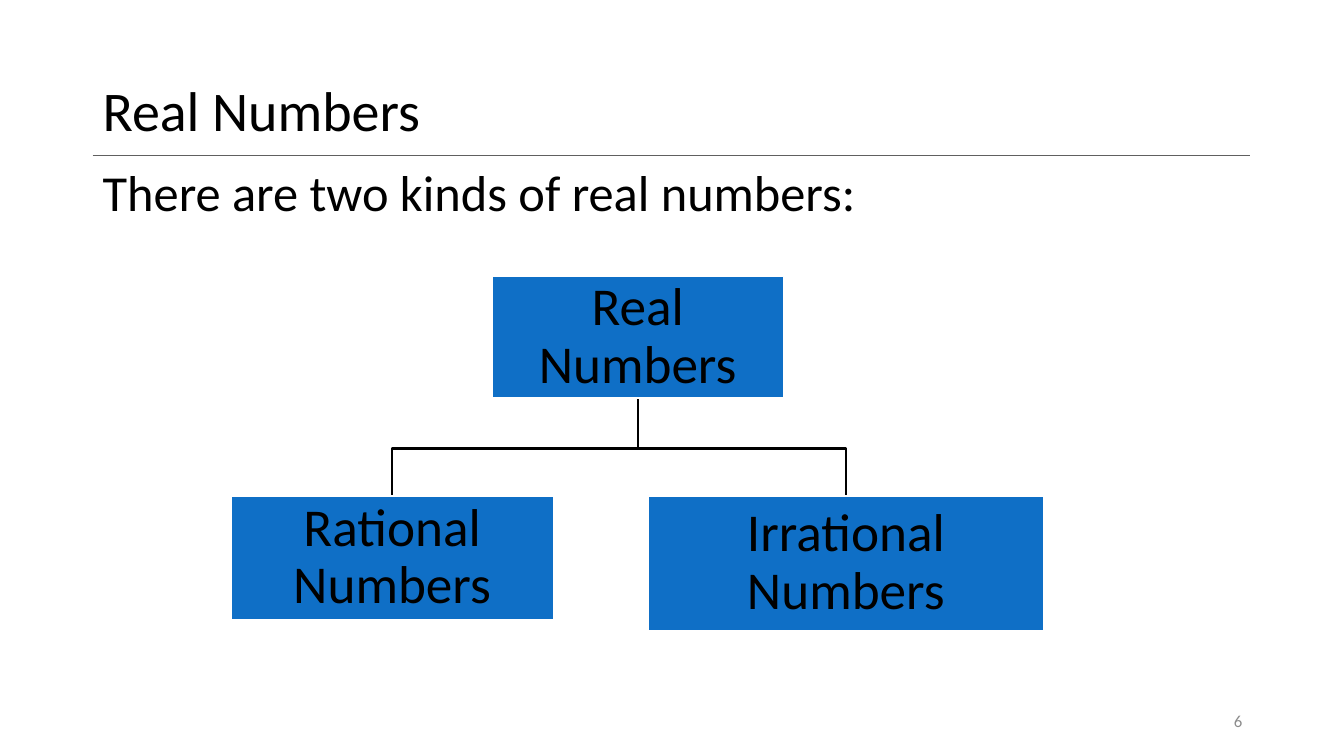
from pptx import Presentation
from pptx.dml.color import RGBColor
from pptx.enum.shapes import MSO_CONNECTOR, MSO_SHAPE
from pptx.enum.text import MSO_ANCHOR, PP_ALIGN
from pptx.oxml.ns import qn
from pptx.util import Inches, Pt
from lxml import etree

STRAIGHT = MSO_CONNECTOR.STRAIGHT
RECT = MSO_SHAPE.RECTANGLE
TOP, MIDDLE = MSO_ANCHOR.TOP, MSO_ANCHOR.MIDDLE
LEFT, CENTER, RIGHT = PP_ALIGN.LEFT, PP_ALIGN.CENTER, PP_ALIGN.RIGHT


def color(code):
    return RGBColor.from_string(code)


class Deck:
    """Holds the style and current slide, and draws its elements."""

    font = "Calibri"
    ink, blue, white, gray, dark = "000000", "0F6FC6", "FFFFFF", "8C8C8C", "606060"

    def __init__(self, width, height):
        self.prs = Presentation()
        self.prs.slide_width = Inches(width)
        self.prs.slide_height = Inches(height)
        self.slide = self.prs.slides.add_slide(self.prs.slide_layouts[6])
        self.shapes = self.slide.shapes

    def stroke(self, shape, code, width):
        shape.line.color.rgb = color(code)
        shape.line.width = Pt(width)

    def label(self, shape, words, size, ink=ink, align=LEFT, anchor=TOP, space=0.9, inset=None):
        frame = shape.text_frame
        frame.word_wrap = True
        frame.vertical_anchor = anchor
        if inset is not None:
            for side in ("left", "top", "right", "bottom"):
                setattr(frame, f"margin_{side}", Inches(inset))
        para = frame.paragraphs[0]
        para.alignment = align
        para.line_spacing = space
        run = para.add_run()
        run.text = words
        for name, value in {"name": self.font, "size": Pt(size)}.items():
            setattr(run.font, name, value)
        run.font.color.rgb = color(ink)

    def text(self, place, words, size, **style):
        box = self.shapes.add_textbox(*map(Inches, place))
        self.label(box, words, size, **style)

    def rule(self, left, right, y):
        line = self.shapes.add_connector(STRAIGHT, *map(Inches, (left, y, right, y)))
        self.stroke(line, self.dark, 0.5)
        etree.SubElement(line._element.spPr, qn("a:effectLst"))

    def branch(self, start, end):
        (x, y), (end_x, end_y) = start, end
        bend = y + 0.5
        points = [(x, bend), (end_x, bend), (end_x, end_y)]
        route = self.shapes.build_freeform(Inches(x), Inches(y))
        route.add_line_segments([tuple(map(Inches, p)) for p in points], close=False)
        shape = route.convert_to_shape()
        shape.shadow.inherit = False
        shape.fill.background()
        self.stroke(shape, self.ink, 1.5)

    def node(self, place, words):
        box = self.shapes.add_shape(RECT, *map(Inches, place))
        box.shadow.inherit = False
        box.fill.solid()
        box.fill.fore_color.rgb = color(self.blue)
        self.stroke(box, self.white, 1)
        self.label(box, words, 38, align=CENTER, anchor=MIDDLE, inset=0.03)

    def tree(self, root, kids):
        left, top, width, height = root[0]
        start = (left + width / 2, top + height)
        for (x, y, wide, _), _ in reversed(kids):
            self.branch(start, (x + wide / 2, y))
        for place, words in [root, *kids]:
            self.node(place, words)


def main():
    deck = Deck(13.33, 7.5)
    deck.rule(0.92, 12.4, 1.54)
    deck.text((0.92, 0.4, 11.5, 1.45), "Real Numbers", 40, anchor=MIDDLE)
    deck.text((0.92, 1.62, 8.62, 0.7), "There are two kinds of real numbers:", 36)
    deck.text((9.42, 6.95, 3, 0.4), "6", 12, ink=deck.gray,
              align=RIGHT, anchor=MIDDLE, space=1.0)
    deck.tree(
        ((4.88, 2.74, 2.89, 1.21), "Real Numbers"),
        [((2.29, 4.92, 3.2, 1.23), "Rational Numbers"),
         ((6.43, 4.92, 3.92, 1.34), "Irrational Numbers")],
    )
    deck.prs.save("out.pptx")


if __name__ == "__main__":
    main()
